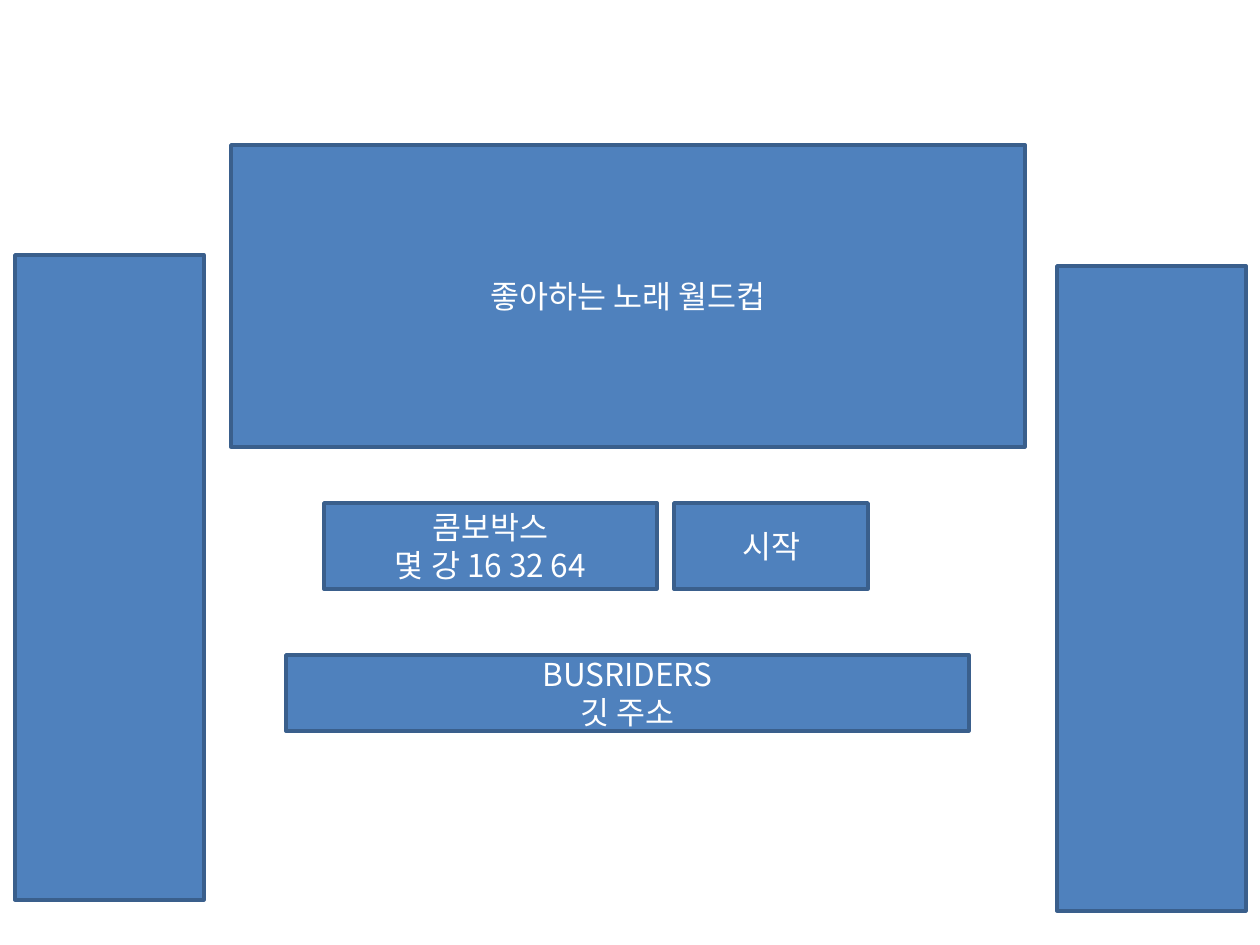
from lxml import etree
from pptx import Presentation
from pptx import util as u
from pptx.dml.color import RGBColor
from pptx.enum import shapes, text
from pptx.oxml.ns import qn

FONT = "Noto Sans CJK KR"
COLORS = {"fill": "4F81BD", "line": "3A5F8C", "text": "FFFFFF"}
PANEL = [
    ((231, 145, 794, 302), "좋아하는 노래 월드컵"),
    ((286, 655, 683, 76), "BUSRIDERS\n깃 주소"),
    ((324, 503, 333, 86), "콤보박스\n몇 강 16 32 64"),
    ((674, 503, 194, 86), "시작"),
]
SIDES = [((15, 255, 189, 645), ""), ((1057, 266, 189, 645), "")]
SCALE = u.Inches(1) / 126


def px(n):
    return u.Emu(round(n * SCALE))


def color(name):
    return RGBColor.from_string(COLORS[name])


def add_box(parent, place, words):
    box = parent.add_shape(shapes.MSO_SHAPE.RECTANGLE, *map(px, place))
    box.shadow.inherit = False
    box.fill.solid()
    box.fill.fore_color.rgb = color("fill")
    box.line.color.rgb = color("line")
    box.line.width = u.Pt(2)
    if not words:
        return
    frame = box.text_frame
    frame.text = words
    frame.word_wrap = True
    frame.vertical_anchor = text.MSO_ANCHOR.MIDDLE
    for par in frame.paragraphs:
        par.alignment = text.PP_ALIGN.CENTER
        for run in par.runs:
            run.font.size = u.Pt(18)
            run.font.name = FONT
            run.font.color.rgb = color("text")
            east = etree.SubElement(run.font._element, qn("a:ea"))
            east.set("typeface", FONT)


def main():
    deck = Presentation()
    deck.slide_width, deck.slide_height = u.Inches(10), u.Inches(7.5)
    slide = deck.slides.add_slide(deck.slide_layouts[6])
    group = slide.shapes.add_group_shape()
    for parent, boxes in ((group.shapes, PANEL), (slide.shapes, SIDES)):
        for place, words in boxes:
            add_box(parent, place, words)
    deck.save("out.pptx")


if __name__ == "__main__":
    main()
